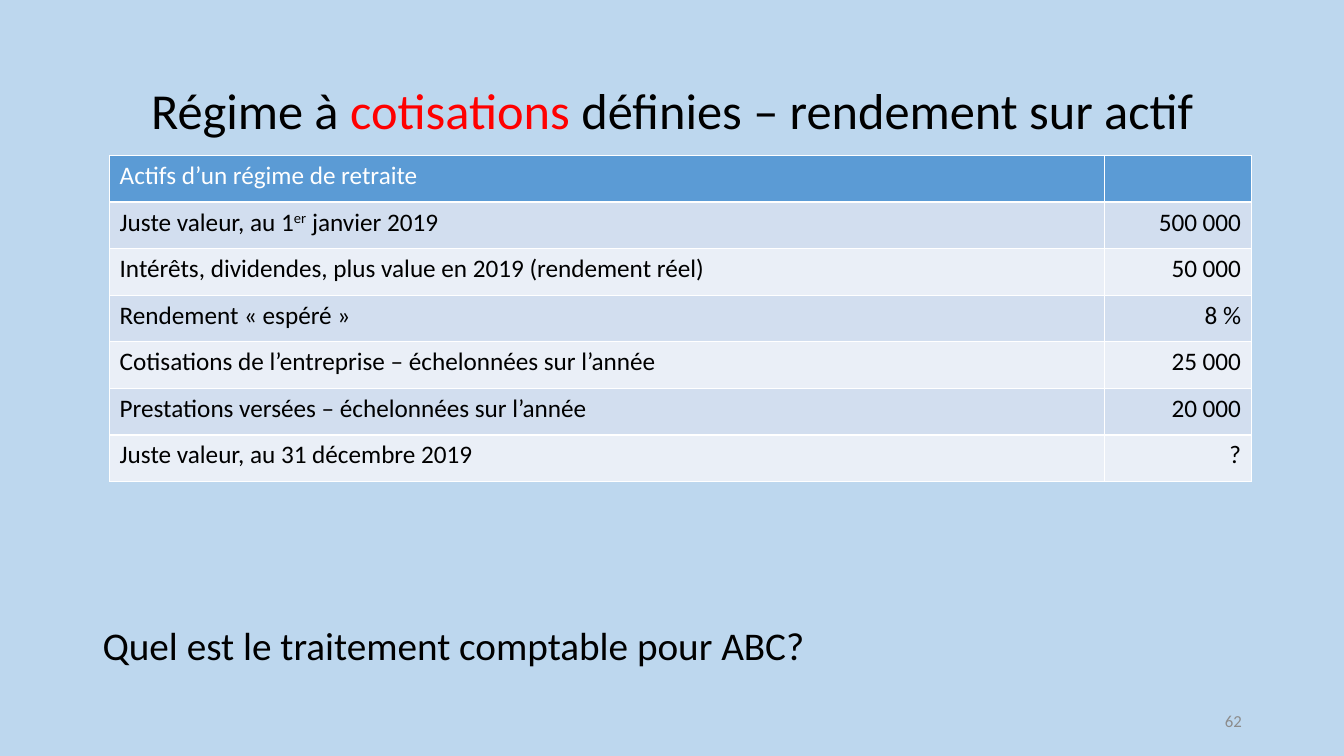
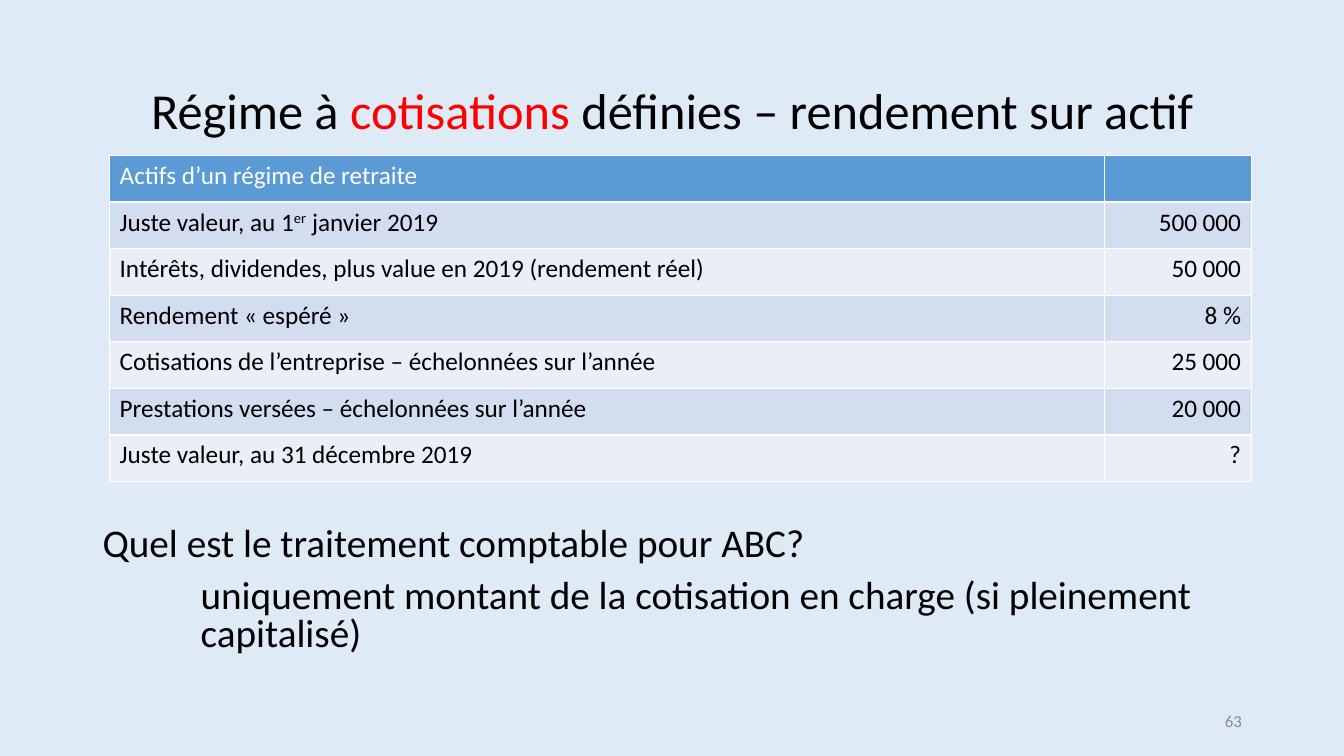
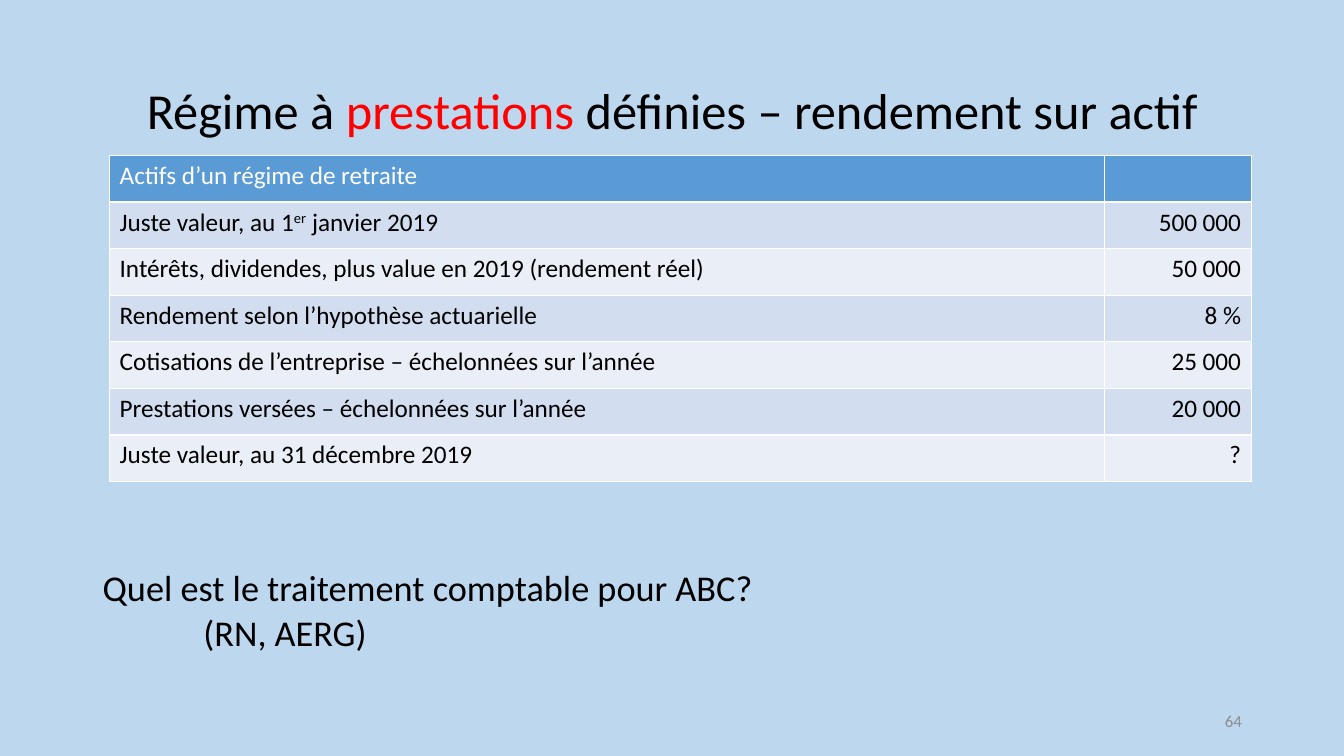
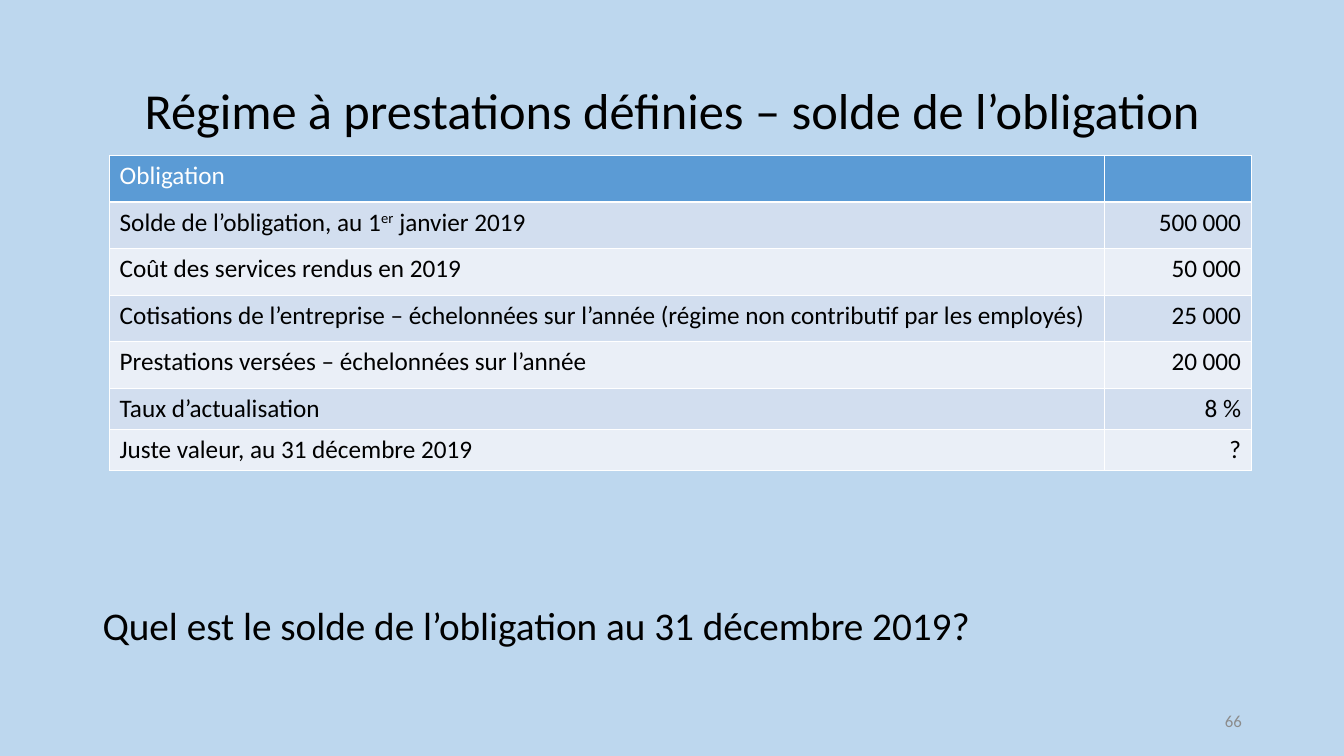
from lxml.etree import SubElement
from pptx import Presentation
from pptx.dml.color import RGBColor
from pptx.enum.text import MSO_ANCHOR as Anchor, PP_ALIGN as Align
from pptx.oxml import parse_xml
from pptx.oxml.ns import nsdecls, qn
from pptx.util import Pt

FONT = "Calibri"
BLACK, WHITE, RED, GREY = "000000", "FFFFFF", "FF0000", "8C8C8C"
SKY, PALE_SKY = "BDD7EE", "DEEBF7"
HEADER_FILL, BAND_FILLS = "5B9BD5", ("D2DEEF", "EAEFF7")

TITLE_BOX = (66.24, 28.8, 828, 104.4)
TABLE_BOX = (78.3, 111, 815.4)
NUMBER_BOX = (678.24, 500.4, 216, 28.8)
QUESTION_LEFT, QUESTION_WIDTH, QUESTION_BOTTOM = 66.24, 828, 487
VALUE_WIDTH = 104.6
ROW, SHORT_ROW = 33.3, 29.2


def color_of(hex_string):
    return RGBColor.from_string(hex_string)


def write(para, spans, size=18, color=BLACK, align=Align.LEFT,
          spacing=None, before=0, indent=0):
    para.alignment = align
    para.space_before = Pt(before)
    if spacing:
        para.line_spacing = spacing
    if indent:
        para._p.get_or_add_pPr().set("marL", str(Pt(indent)))
    for text, look in spans if isinstance(spans, list) else [(spans, {})]:
        span = para.add_run()
        span.text = text
        span.font.name = FONT
        span.font.size = Pt(size)
        span.font.color.rgb = color_of(look.get("color", color))
        if look.get("raised"):
            span._r.get_or_add_rPr().set("baseline", "30000")


def add_frame(page, box, anchor=Anchor.MIDDLE):
    frame = page.shapes.add_textbox(*map(Pt, box)).text_frame
    frame.word_wrap = True
    frame.vertical_anchor = anchor
    return frame


def add_title(page, box, spans):
    write(add_frame(page, box).paragraphs[0], spans, size=36,
          align=Align.CENTER, spacing=0.9)


def add_number(page, box, number):
    write(add_frame(page, box).paragraphs[0], str(number), size=12,
          color=GREY, align=Align.RIGHT)


def add_question(page, top, question, answer=None, indent=0, size=28, spacing=0.8):
    frame = add_frame(page, (QUESTION_LEFT, top, QUESTION_WIDTH,
                             QUESTION_BOTTOM - top), Anchor.TOP)
    frame.margin_top = frame.margin_bottom = 0
    write(frame.paragraphs[0], question, size=size, spacing=spacing)
    if answer:
        write(frame.add_paragraph(), answer, size=size, spacing=spacing,
              before=10, indent=indent)


def style_cell(cell, fill):
    cell.fill.solid()
    cell.fill.fore_color.rgb = color_of(fill)
    properties = cell._tc.get_or_add_tcPr()
    for place, side in enumerate("LRTB"):
        line = parse_xml(f'<a:ln{side} {nsdecls("a")} w="{Pt(1)}"/>')
        paint = SubElement(line, qn("a:solidFill"))
        SubElement(paint, qn("a:srgbClr")).set("val", WHITE)
        properties.insert(place, line)


def add_amounts(page, box, rows, heights):
    left, top, width = box
    table = page.shapes.add_table(len(rows), 2, Pt(left), Pt(top), Pt(width),
                                  Pt(sum(heights))).table
    table.columns[0].width = Pt(width - VALUE_WIDTH)
    table.columns[1].width = Pt(VALUE_WIDTH)
    for index, (label, value) in enumerate(rows):
        table.rows[index].height = Pt(heights[index])
        fill = BAND_FILLS[(index - 1) % 2] if index else HEADER_FILL
        color = BLACK if index else WHITE
        for column, (spans, align) in enumerate(
                [(label, Align.LEFT), (value, Align.RIGHT)]):
            cell = table.cell(index, column)
            style_cell(cell, fill)
            if spans:
                write(cell.text_frame.paragraphs[0], spans, color=color, align=align)


def on_first_of_january(label):
    return [(f"{label}, au 1", {}), ("er", {"raised": True}), (" janvier 2019", {})]


def return_title(plan):
    return [("Régime à ", {}), (plan, {"color": RED}),
            (" définies – rendement sur actif", {})]


def asset_rows(expected_return):
    return [
        ("Actifs d’un régime de retraite", ""),
        (on_first_of_january("Juste valeur"), "500 000"),
        ("Intérêts, dividendes, plus value en 2019 (rendement réel)", "50 000"),
        (expected_return, "8 %"),
        ("Cotisations de l’entreprise – échelonnées sur l’année", "25 000"),
        ("Prestations versées – échelonnées sur l’année", "20 000"),
        ("Juste valeur, au 31 décembre 2019", "?"),
    ]


OBLIGATION_ROWS = [
    ("Obligation", ""),
    (on_first_of_january("Solde de l’obligation"), "500 000"),
    ("Coût des services rendus en 2019", "50 000"),
    ("Cotisations de l’entreprise – échelonnées sur l’année "
     "(régime non contributif par les employés)", "25 000"),
    ("Prestations versées – échelonnées sur l’année", "20 000"),
    ("Taux d’actualisation", "8 %"),
    ("Juste valeur, au 31 décembre 2019", "?"),
]
EXPECTED = "Rendement « espéré »"
TREATMENT = "Quel est le traitement comptable pour ABC?"


def add_page(deck, number, background, title, rows, question, heights=(ROW,) * 7):
    page = deck.slides.add_slide(deck.slide_layouts[6])
    page.background.fill.solid()
    page.background.fill.fore_color.rgb = color_of(background)
    add_title(page, TITLE_BOX, title)
    add_question(page, **question)
    add_number(page, NUMBER_BOX, number)
    add_amounts(page, TABLE_BOX, rows, heights)


def main():
    deck = Presentation()
    deck.slide_width, deck.slide_height = Pt(960), Pt(540)
    add_page(deck, 62, SKY, return_title("cotisations"), asset_rows(EXPECTED),
             dict(top=450.6, question=TREATMENT))
    add_page(deck, 63, PALE_SKY, return_title("cotisations"), asset_rows(EXPECTED),
             dict(top=377, question=TREATMENT, indent=70,
                  answer="uniquement montant de la cotisation en charge "
                         "(si pleinement capitalisé)"))
    add_page(deck, 64, SKY, return_title("prestations"),
             asset_rows("Rendement selon l’hypothèse actuarielle"),
             dict(top=412.4, question=TREATMENT, answer="(RN, AERG)",
                  indent=72, size=25.9, spacing=0.7))
    add_page(deck, 66, SKY, "Régime à prestations définies – solde de l’obligation",
             OBLIGATION_ROWS,
             dict(top=433, spacing=0.9,
                  question="Quel est le solde de l’obligation au 31 décembre 2019?"),
             heights=(ROW,) * 5 + (SHORT_ROW,) * 2)
    deck.save("out.pptx")


if __name__ == "__main__":
    main()
